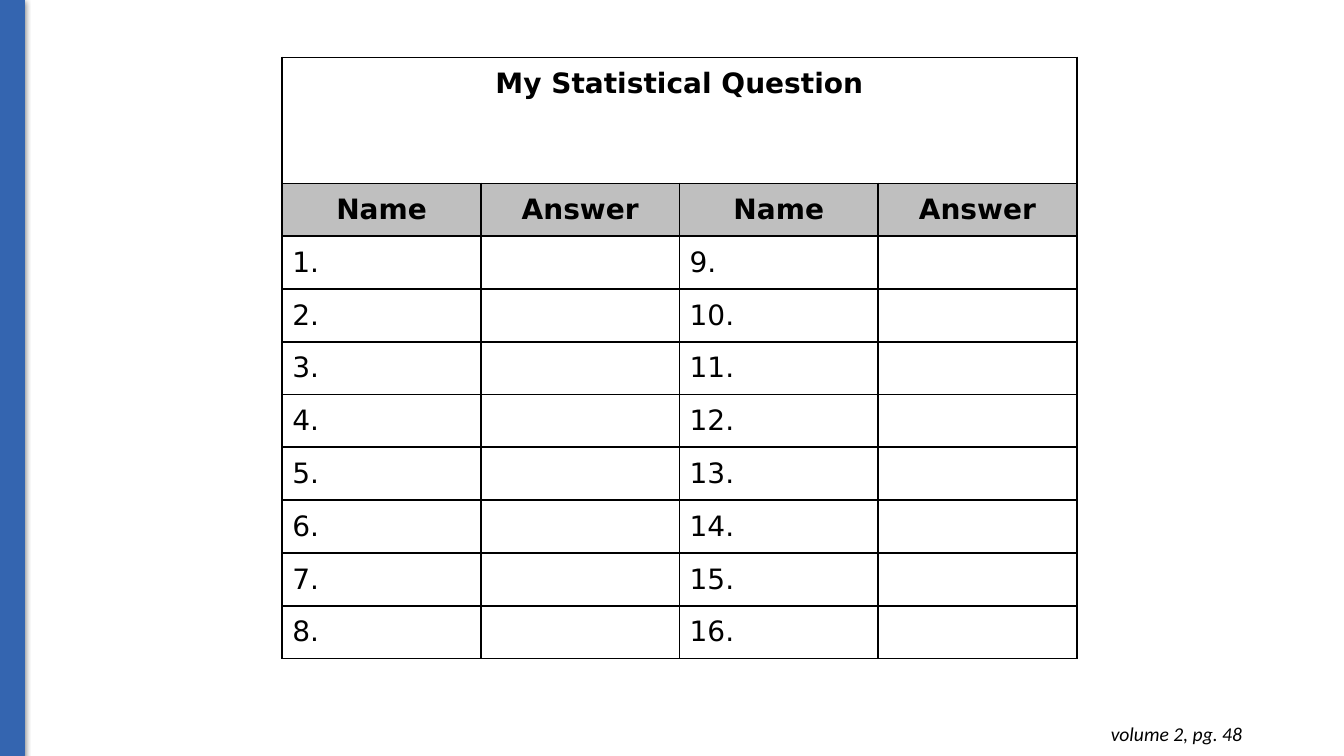
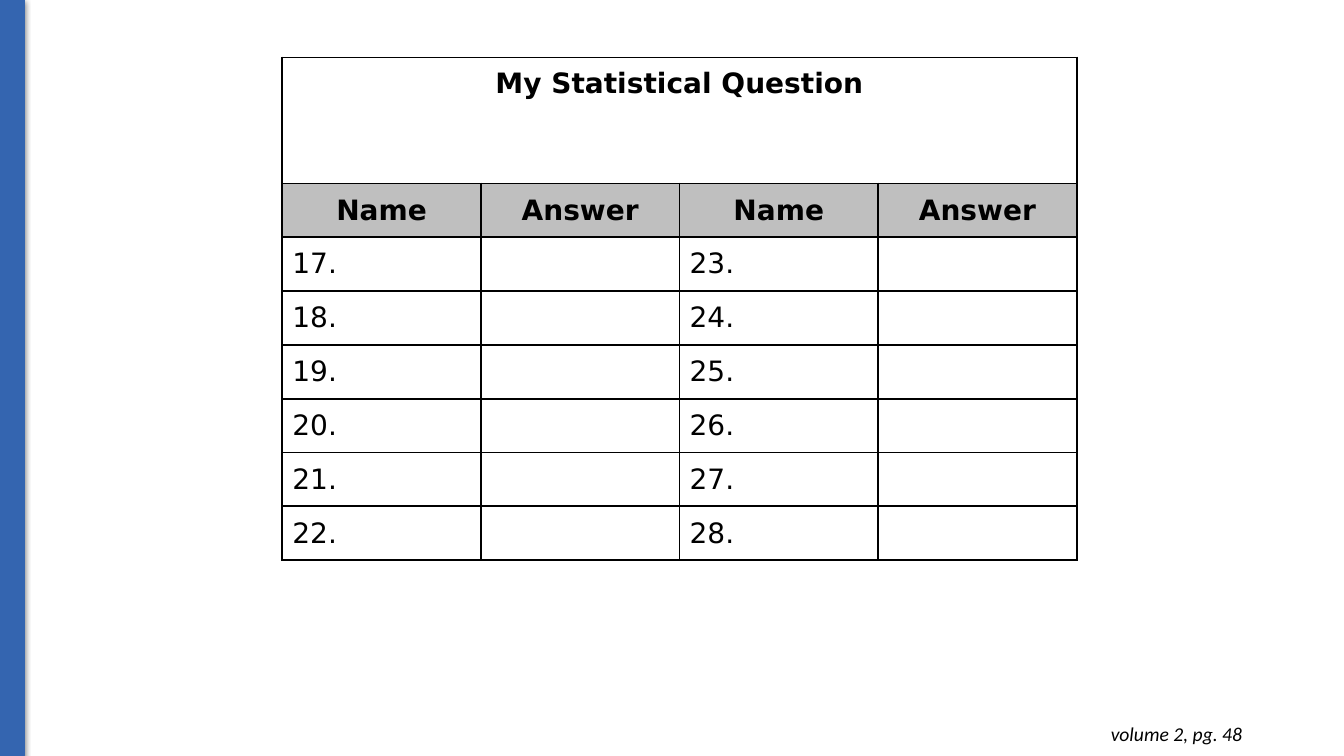
from lxml import etree
from pptx import Presentation
from pptx.dml.color import RGBColor
from pptx.enum.shapes import MSO_SHAPE
from pptx.enum.text import MSO_ANCHOR, MSO_AUTO_SIZE, PP_ALIGN
from pptx.oxml import parse_xml
from pptx.oxml.ns import nsdecls, qn
from pptx.util import Inches, Pt

RECTANGLE = MSO_SHAPE.RECTANGLE
TOP, MIDDLE = MSO_ANCHOR.TOP, MSO_ANCHOR.MIDDLE
LEFT, CENTER, RIGHT = PP_ALIGN.LEFT, PP_ALIGN.CENTER, PP_ALIGN.RIGHT
FIT_SHAPE = MSO_AUTO_SIZE.SHAPE_TO_FIT_TEXT
BLANK_LAYOUT = 6

BLUE, GREY, BLACK = "3465B0", "BFBFBF", "000000"
INSETS = {f"margin_{side}": Inches(0.1) for side in ("left", "right", "top", "bottom")}
QUESTION_HEIGHT = 1.25
HEADINGS = ("Name", "Answer") * 2


def color(hex_string):
    return RGBColor.from_string(hex_string)


def apply(target, formats):
    for name, value in formats.items():
        setattr(target, name, value)


class SurveyDeck:
    table_font = {"name": "DejaVu Sans", "size": Pt(20), "bold": False}
    heading_font = {**table_font, "bold": True}
    footer_font = {"name": "Calibri", "size": Pt(14), "italic": True}

    def __init__(self):
        self.deck = Presentation()
        self.deck.slide_width = Inches(13.33)
        self.deck.slide_height = Inches(7.5)
        self.slide = None

    def new_slide(self):
        layout = self.deck.slide_layouts[BLANK_LAYOUT]
        self.slide = self.deck.slides.add_slide(layout)
        self.side_band()

    def side_band(self):
        band = self.slide.shapes.add_shape(
            RECTANGLE, 0, 0, Inches(0.24), self.deck.slide_height)
        band.shadow.inherit = False
        band.fill.solid()
        band.fill.fore_color.rgb = color(BLUE)
        band.line.color.rgb = color(BLUE)
        band.line.width = Pt(0.75)
        # Soft shadow along the band's edge
        effects = band._element.spPr.find(qn("a:effectLst"))
        effects.append(parse_xml(
            f'<a:outerShdw {nsdecls("a")} blurRad="{Pt(4.5)}" dist="{Pt(1.5)}" '
            f'dir="5400000" rotWithShape="0"><a:srgbClr val="{BLACK}">'
            '<a:alpha val="50000"/></a:srgbClr></a:outerShdw>'))

    def add_text(self, frame, text, font, align):
        paragraph = frame.paragraphs[0]
        paragraph.alignment = align
        run = paragraph.add_run()
        run.text = text
        apply(run.font, font)
        run.font.color.rgb = color(BLACK)

    def border(self, cell):
        properties = cell._tc.get_or_add_tcPr()
        for side in ("lnL", "lnR", "lnT", "lnB"):
            line = etree.SubElement(properties, qn(f"a:{side}"), w=str(Pt(1.5)))
            fill = etree.SubElement(line, qn("a:solidFill"))
            etree.SubElement(fill, qn("a:srgbClr"), val=BLACK)

    def fill_cell(self, cell, text, font, align=LEFT, anchor=MIDDLE, fill=None):
        apply(cell, {**INSETS, "vertical_anchor": anchor})
        if fill:
            cell.fill.solid()
            cell.fill.fore_color.rgb = color(fill)
        if text:
            self.add_text(cell.text_frame, text, font, align)

    def survey_table(self, first, last, height):
        """Number the left half downwards, then the right half."""
        entries = (last - first + 1) // 2
        table = self.slide.shapes.add_table(
            entries + 2, len(HEADINGS), Inches(2.8), Inches(0.57),
            Inches(7.88), Inches(height)).table
        apply(table, {"first_row": False, "horz_banding": False})
        table.rows[0].height = Inches(QUESTION_HEIGHT)
        for row in list(table.rows)[1:]:
            row.height = Inches((height - QUESTION_HEIGHT) / (entries + 1))
        for cell in table.iter_cells():
            self.border(cell)
            cell.fill.background()

        # Question and headings
        question = table.cell(0, 0)
        question.merge(table.cell(0, len(HEADINGS) - 1))
        self.fill_cell(question, "My Statistical Question", self.heading_font,
                       CENTER, TOP)
        for column, heading in enumerate(HEADINGS):
            self.fill_cell(table.cell(1, column), heading, self.heading_font,
                           CENTER, fill=GREY)

        # Numbered name cells, with room for answers
        for entry in range(entries):
            for column in range(len(HEADINGS)):
                half, is_answer = divmod(column, 2)
                number = first + half * entries + entry
                self.fill_cell(table.cell(entry + 2, column),
                               "" if is_answer else f"{number}.", self.table_font)

    def footer(self, text):
        reference = self.slide.shapes.add_textbox(
            Inches(9.54), Inches(7.06), Inches(2.88), Inches(0.44))
        frame = reference.text_frame
        apply(frame, {**INSETS, "word_wrap": True, "auto_size": FIT_SHAPE})
        self.add_text(frame, text, self.footer_font, RIGHT)


def main():
    survey = SurveyDeck()
    for first, last, height in ((1, 16, 5.96), (17, 28, 4.98)):
        survey.new_slide()
        survey.survey_table(first, last, height)
        survey.footer("volume 2, pg. 48")
    survey.deck.save("out.pptx")


if __name__ == "__main__":
    main()
